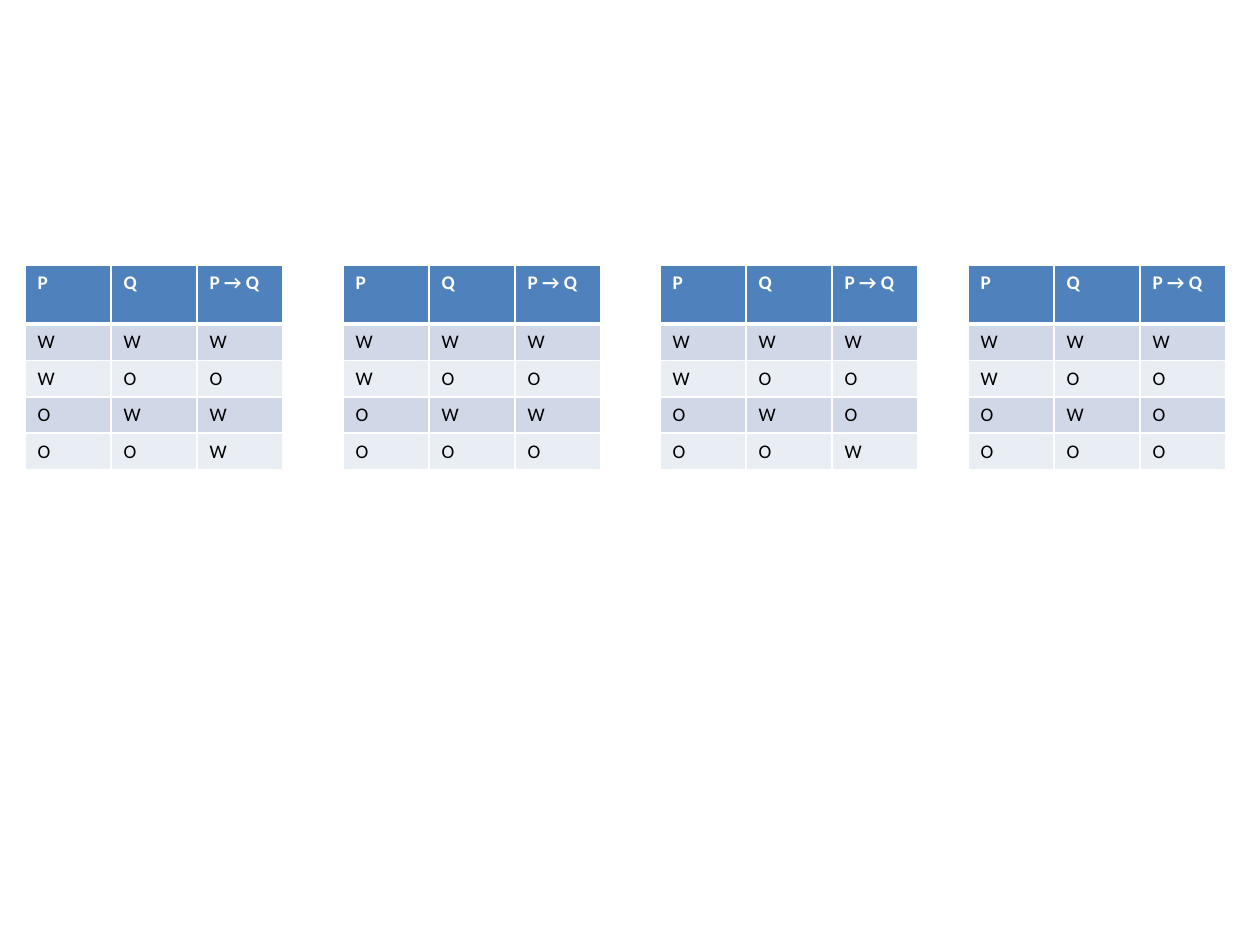
from dataclasses import dataclass

from lxml.etree import SubElement
from pptx import Presentation
from pptx.dml.color import RGBColor as RGB
from pptx.oxml.ns import qn
from pptx.util import Pt

PX = 914400 // 126
SLIDE_W, SLIDE_H = 1260, 945
TABLE_TOP, TABLE_H = 265, 202
COL_W, HEAD_H, ROW_H = 86, 59, 33

HEADINGS = ("P", "Q", "P → Q")
INPUTS = ("WW", "WO", "OW", "OO")
TRUTH_TABLES = ((25, "WOWW"), (343, "WOWO"), (660, "WOOW"), (968, "WOOO"))


@dataclass(frozen=True)
class Theme:
    """Hold the colours, font and sizes of the slide."""
    font: str = "Calibri"
    size: int = 11
    head: str = "4F81BD"
    bands: tuple = ("D0D8E8", "E9EDF4")
    light: str = "FFFFFF"
    dark: str = "000000"
    thin: int = 1
    thick: int = 3


THEME = Theme()


def px(n):
    """Turn pixels into EMU."""
    return n * PX


def add_border(cell, side, width):
    """Draw one border of a cell."""
    ln = SubElement(cell._tc.get_or_add_tcPr(), qn(f"a:ln{side}"), w=str(Pt(width)))
    fill = SubElement(ln, qn("a:solidFill"))
    SubElement(fill, qn("a:srgbClr"), val=THEME.light)


def fill_cell(cell, text, row):
    """Write and style a cell according to its row."""
    is_head = row == 0
    heavy = {0: "B", 1: "T"}.get(row)
    for side in "LRTB":
        add_border(cell, side, THEME.thick if side == heavy else THEME.thin)
    cell.fill.solid()
    cell.fill.fore_color.rgb = RGB.from_string(
        THEME.head if is_head else THEME.bands[(row - 1) % 2])
    r = cell.text_frame.paragraphs[0].add_run()
    r.text = text
    r.font.name = THEME.font
    r.font.size = Pt(THEME.size)
    r.font.bold = is_head
    r.font.color.rgb = RGB.from_string(THEME.light if is_head else THEME.dark)


def add_truth_table(s, left, results):
    """Add a truth table with the given result column."""
    rows = [HEADINGS] + [(*pair, res) for pair, res in zip(INPUTS, results)]
    frame = s.shapes.add_table(len(rows), len(HEADINGS), px(left), px(TABLE_TOP),
                               px(COL_W * len(HEADINGS)), px(TABLE_H))
    table = frame.table
    for col in table.columns:
        col.width = px(COL_W)
    for i, values in enumerate(rows):
        table.rows[i].height = px(ROW_H if i else HEAD_H)
        for j, text in enumerate(values):
            fill_cell(table.cell(i, j), text, i)
    frame.height = px(TABLE_H)


def main():
    """Build the slide and save it."""
    prs = Presentation()
    prs.slide_width, prs.slide_height = px(SLIDE_W), px(SLIDE_H)
    s = prs.slides.add_slide(prs.slide_layouts[6])
    for left, results in TRUTH_TABLES:
        add_truth_table(s, left, results)
    prs.save("out.pptx")


if __name__ == "__main__":
    main()
